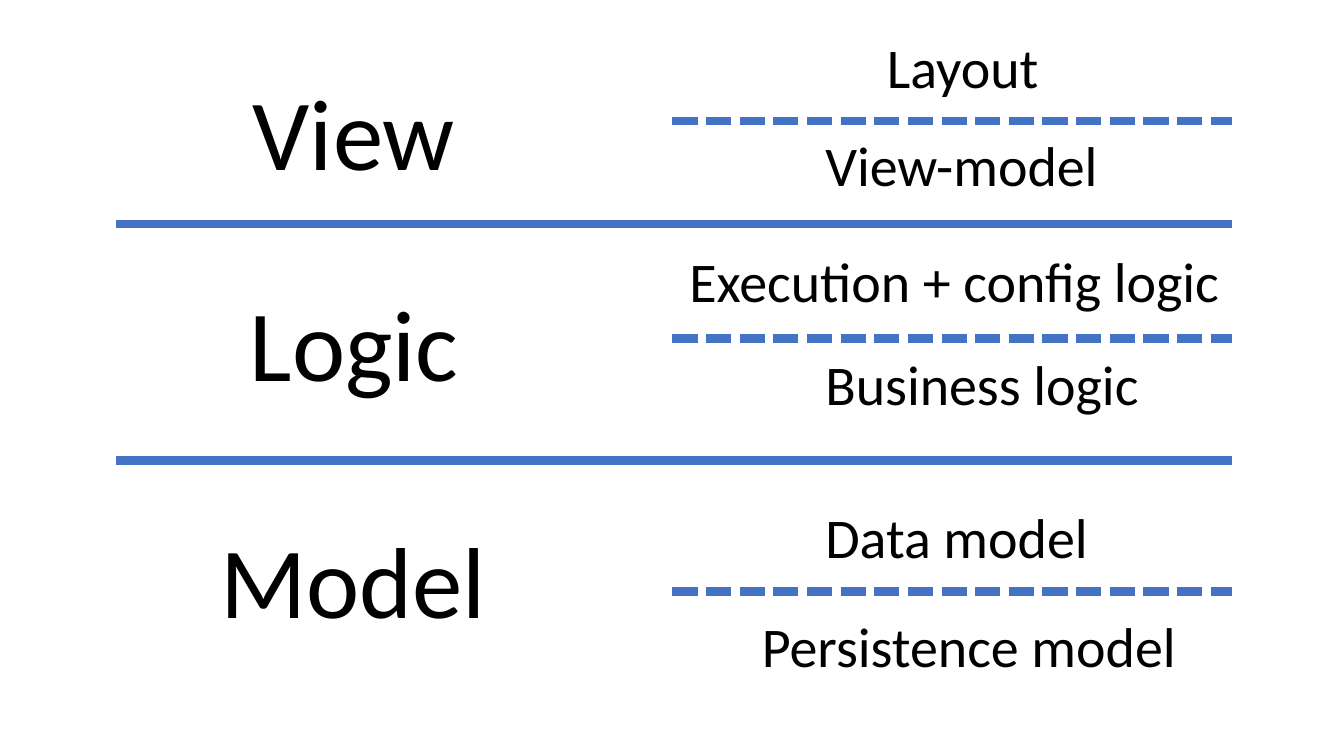
from pptx import Presentation
from pptx.dml.color import RGBColor
from pptx.enum.dml import MSO_LINE
from pptx.enum.shapes import MSO_CONNECTOR
from pptx.enum.text import MSO_AUTO_SIZE
from pptx.oxml.ns import qn
from pptx.util import Emu, Pt
from lxml import etree

EMU_PER_PX = 9144
BLUE = RGBColor(0x44, 0x72, 0xC4)
BLACK = RGBColor(0, 0, 0)
FONT = "Calibri"
STRAIGHT = MSO_CONNECTOR.STRAIGHT
DASHED = MSO_LINE.SQUARE_DOT
FIT_SHAPE = MSO_AUTO_SIZE.SHAPE_TO_FIT_TEXT

LEFT, MIDDLE, RIGHT = 115, 667, 1222
LAYER_BORDERS = [222, 457]
SUBLAYER_BORDERS = [120, 336, 587]
LAYERS = [
    ("View", 241, 64, 223),
    ("Logic", 238, 274, 229),
    ("Model", 209, 509, 286),
]
SUBLAYERS = [
    ("Layout", 870, 27, 172),
    ("View-model", 809, 125, 294),
    ("Execution + config logic", 674, 240, 552),
    ("Business logic", 809, 342, 334),
    ("Data model", 809, 494, 283),
    ("Persistence model", 746, 602, 435),
]


def px(n):
    return Emu(n * EMU_PER_PX)


def add_text(slide, text, x, y, w, h, size, color=BLACK):
    sp = slide.shapes.add_textbox(px(x), px(y), px(w), px(h))
    tf = sp.text_frame
    tf.word_wrap = False
    tf.auto_size = FIT_SHAPE
    r = tf.paragraphs[0].add_run()
    r.text = text
    r.font.name = FONT
    r.font.size = Pt(size)
    r.font.color.rgb = color


def add_divider(slide, x, y, dash=None):
    line = slide.shapes.add_connector(STRAIGHT, px(x), px(y), px(RIGHT), px(y))
    line.line.color.rgb = BLUE
    line.line.width = Pt(6)
    if dash is not None:
        line.line.dash_style = dash
    etree.SubElement(line._element.spPr, qn("a:effectLst"))


def main():
    prs = Presentation()
    prs.slide_width = Emu(12192000)
    prs.slide_height = px(750)
    slide = prs.slides.add_slide(prs.slide_layouts[6])

    for y in LAYER_BORDERS:
        add_divider(slide, LEFT, y)
    for y in SUBLAYER_BORDERS:
        add_divider(slide, MIDDLE, y, dash=DASHED)
    for text, x, y, w in LAYERS:
        add_text(slide, text, x, y, w, 131, size=72)
    for text, x, y, w in SUBLAYERS:
        add_text(slide, text, x, y, w, 77, size=40)

    prs.save("out.pptx")


if __name__ == "__main__":
    main()
